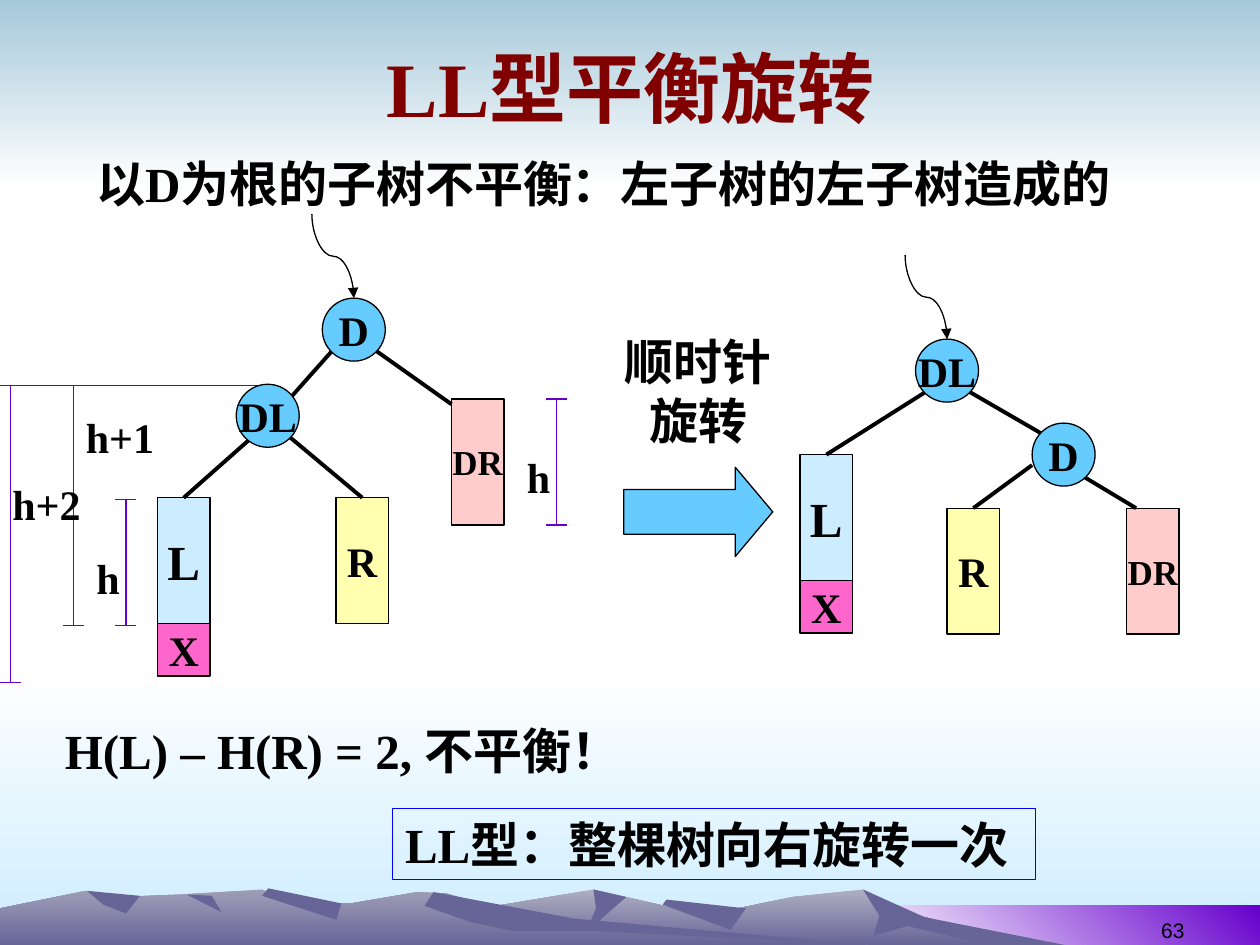
from dataclasses import dataclass
from typing import Optional, Union

from lxml import etree
from pptx import Presentation
from pptx.dml.color import RGBColor
from pptx.enum.shapes import MSO_CONNECTOR, MSO_SHAPE
from pptx.enum.text import MSO_ANCHOR, MSO_AUTO_SIZE, PP_ALIGN
from pptx.oxml.ns import qn
from pptx.util import Inches, Pt

RECT, OVAL, ARROW = MSO_SHAPE.RECTANGLE, MSO_SHAPE.OVAL, MSO_SHAPE.RIGHT_ARROW
STRAIGHT, CURVE = MSO_CONNECTOR.STRAIGHT, MSO_CONNECTOR.CURVE
LEFT, CENTER, RIGHT = PP_ALIGN.LEFT, PP_ALIGN.CENTER, PP_ALIGN.RIGHT
TOP, MIDDLE, BOTTOM = MSO_ANCHOR.TOP, MSO_ANCHOR.MIDDLE, MSO_ANCHOR.BOTTOM

COLS, ROWS = 120, 90
CELL = Inches(10) / COLS
BOX_W, BOX_H, NODE_D = 5, 12, 6
SERIF = "Times New Roman"
C = {
    "black": "000000", "white": "FFFFFF", "title": "800000", "sky": "A6C9DA",
    "ice": "CCECFF", "node": "66CCFF", "yellow": "FFFFAF", "magenta": "FF66CC",
    "rose": "FFCCCC", "violet": "6600CC", "blue": "0000FF", "ridge": "676597",
    "mist": "AEAEC2", "haze": "9F9EB8",
}
Point = tuple[float, float]


@dataclass
class BoxStyle:
    fill: str
    size: int
    height: float = BOX_H


@dataclass
class Edge:
    start: Point
    end: Union[Point, str]


@dataclass
class Tree:
    boxes: dict[str, Point]
    nodes: dict[str, Point]
    edges: list[Edge]


@dataclass
class Bracket:
    x: float
    top: float
    bottom: float
    label: str
    label_at: Point
    reach: float = 1


@dataclass
class Ridge:
    points: list[Point]
    shade: Optional[str] = None


BOXES = {"L": BoxStyle("ice", 28), "R": BoxStyle("yellow", 24),
         "X": BoxStyle("magenta", 24, BOX_W), "DR": BoxStyle("rose", 20)}
TREES = [
    Tree({"L": (76.2, 43.3), "R": (90.2, 48.4), "DR": (107.3, 48.4)},
         {"DL": (87.2, 32.3), "D": (98.3, 40.3)},
         [Edge((103.2, 45.4), (108.2, 48.4)), Edge((88.2, 37.3), "L"),
          Edge((92.3, 37.3), (99.2, 41.3)), Edge((98.3, 44.3), "R")]),
    Tree({"L": (15, 47.4), "R": (32, 47.4), "DR": (43, 38)},
         {"D": (30.7, 28.4), "DL": (22.5, 36.6)},
         [Edge((35.8, 33.4), (43, 38.5)), Edge((32, 33), (27.2, 38.4)),
          Edge((24.4, 41.3), "L"), Edge((27.2, 41.3), "R")]),
]
BRACKETS = [
    Bracket(12, 47.6, 59.6, "h", (8, 52)),
    Bracket(7, 36.7, 59.6, "h+1", (7, 38.6), 19),
    Bracket(53, 38, 50, "h", (49, 42.4)),
    Bracket(1, 36.7, 65, "h+2", (0, 45), 17),
]
RIDGES = [
    Ridge([(260, 750), (327, 731), (394, 719), (471, 706), (536, 721), (566, 725), (629, 712),
           (685, 706), (723, 725), (815, 750)], "mist"),
    Ridge([(685, 706), (698, 727), (693, 743), (720, 735), (784, 750), (845, 750), (734, 728)]),
    Ridge([(471, 706), (473, 721), (465, 740), (497, 712)]),
    Ridge([(529, 714), (526, 718), (580, 738), (592, 721)]),
    Ridge([(0, 750), (0, 721), (68, 707), (94, 712), (143, 710), (208, 706), (236, 717),
           (279, 717), (331, 708), (354, 709), (432, 732), (689, 750)], "haze"),
    Ridge([(213, 705), (208, 711), (267, 730), (271, 717)]),
    Ridge([(344, 708), (337, 719), (374, 732), (407, 739), (472, 739), (689, 750), (455, 729)]),
    Ridge([(69, 707), (82, 718), (100, 725), (111, 711)]),
    Ridge([(148, 710), (176, 724), (168, 711)]),
]


def rgb(name: str) -> RGBColor:
    return RGBColor.from_string(C[name])


def grid(*cells: float) -> list[int]:
    return [round(v * CELL) for v in cells]


def paint(sp, fill: Optional[str], line: Optional[str] = None) -> None:
    sp.shadow.inherit = False
    if fill:
        sp.fill.solid()
        sp.fill.fore_color.rgb = rgb(fill)
    else:
        sp.fill.background()
    if line:
        sp.line.color.rgb = rgb(line)
        sp.line.width = Pt(0.75)
    else:
        sp.line.fill.background()


def blend(sp, start: str, end: str, angle: float = 270) -> None:
    paint(sp, None)
    sp.fill.gradient()
    sp.fill.gradient_angle = angle
    for stop, name in zip(sp.fill.gradient_stops, (start, end)):
        stop.color.rgb = rgb(name)


def write(sp, text: str, size: int, align=LEFT, anchor=TOP, color: str = "black",
          wrap: bool = True, font: str = SERIF, bold: bool = True) -> None:
    tf = sp.text_frame
    tf.text = text
    tf.word_wrap = wrap
    tf.auto_size = MSO_AUTO_SIZE.NONE
    tf.vertical_anchor = anchor
    p = tf.paragraphs[0]
    p.alignment = align
    f = p.runs[0].font
    f.name, f.size, f.bold = font, Pt(size), bold
    f.color.rgb = rgb(color)


def add_label(s, text: str, area: tuple[float, ...], size: int = 28, **style) -> None:
    write(s.shapes.add_textbox(*grid(*area)), text, size, **style)


def add_block(s, kind, area: tuple[float, ...], fill: Optional[str], line: str = "black"):
    sp = s.shapes.add_shape(kind, *grid(*area))
    paint(sp, fill, line)
    return sp


def add_line(s, start: Point, end: Point, color: str, width: float, kind=STRAIGHT):
    c = s.shapes.add_connector(kind, *grid(*start, *end))
    c.line.color.rgb = rgb(color)
    c.line.width = Pt(width)
    etree.SubElement(c._element.spPr, qn("a:effectLst"))
    return c


def add_pointer(s, root: Point) -> None:
    x, y = root
    c = add_line(s, (x + 5, y - 6), (x - 3, y - 2), "black", 0.75, CURVE)
    c._element.spPr.find(qn("a:xfrm")).set("rot", str(270 * 60000))
    etree.SubElement(c._element.spPr.find(qn("a:ln")), qn("a:tailEnd"), type="triangle")


def add_tree(s, tree: Tree) -> None:
    x, y = tree.boxes["L"]
    places = {**tree.boxes, "X": (x, y + BOX_H)}
    boxes = {}
    for name, at in places.items():
        style = BOXES[name]
        boxes[name] = add_block(s, RECT, (*at, BOX_W, style.height), style.fill)
        write(boxes[name], name, style.size, CENTER, MIDDLE, wrap=False)
    for edge in tree.edges:
        joined = isinstance(edge.end, str)
        c = add_line(s, edge.start, places[edge.end] if joined else edge.end, "black", 2.25)
        if joined:
            c.end_connect(boxes[edge.end], 0)
    add_pointer(s, next(iter(tree.nodes.values())))
    for name, at in tree.nodes.items():
        write(add_block(s, OVAL, (*at, NODE_D, NODE_D), "node"), name, 24, CENTER, MIDDLE,
              wrap=False)


def add_bracket(s, b: Bracket) -> None:
    for start, end in (((b.x, b.top), (b.x, b.bottom)),
                       ((b.x - 1, b.top), (b.x + b.reach, b.top)),
                       ((b.x - 1, b.bottom), (b.x + 1, b.bottom))):
        add_line(s, start, end, "violet", 0.75)
    add_label(s, b.label, (*b.label_at, 3 + 2 * len(b.label), 6), 24)


def add_backdrop(s) -> None:
    for area, start, end, angle in (((0, 64, COLS, 26), "white", "ice", 270),
                                    ((0, 0, COLS, 18), "sky", "white", 270),
                                    ((82, 86.2, 38, 3.8), "white", "violet", 45)):
        blend(s.shapes.add_shape(RECT, *grid(*area)), start, end, angle)
    for ridge in RIDGES:
        fb = s.shapes.build_freeform(*ridge.points[0], scale=Inches(0.01))
        fb.add_line_segments(ridge.points[1:], close=True)
        sp = fb.convert_to_shape()
        if ridge.shade:
            blend(sp, ridge.shade, "ridge")
        else:
            paint(sp, "ridge")


def main() -> None:
    prs = Presentation()
    prs.slide_width, prs.slide_height = grid(COLS, ROWS)
    s = prs.slides.add_slide(prs.slide_layouts[5])
    add_backdrop(s)
    title = s.shapes.title
    s.shapes._spTree.append(title._element)
    title.left, title.top, title.width, title.height = grid(6.1, 1.6, 108, 13.4)
    write(title, "LL型平衡旋转", 44, CENTER, MIDDLE, "title")
    add_label(s, "63", (86, 84.4, 28, 6), 12, align=RIGHT, anchor=BOTTOM, font="Arial", bold=False)
    add_label(s, "以D为根的子树不平衡：左子树的左子树造成的", (8, 14, 102, 6.8))
    arrow = add_block(s, ARROW, (59.4, 44.5, 14.2, 8.5), "node")
    arrow.adjustments[0], arrow.adjustments[1] = 0.5, 0.42
    add_label(s, "顺时针旋转", (58, 31, 17, 12.4), align=CENTER)
    write(add_block(s, RECT, (37.4, 77, 61.2, 6.8), None, "blue"), "LL型：整棵树向右旋转一次", 28)
    for b in BRACKETS:
        add_bracket(s, b)
    for tree in TREES:
        add_tree(s, tree)
    add_label(s, "H(L) – H(R) = 2, 不平衡！", (5, 68, 55, 6.8))
    prs.save("out.pptx")


if __name__ == "__main__":
    main()
